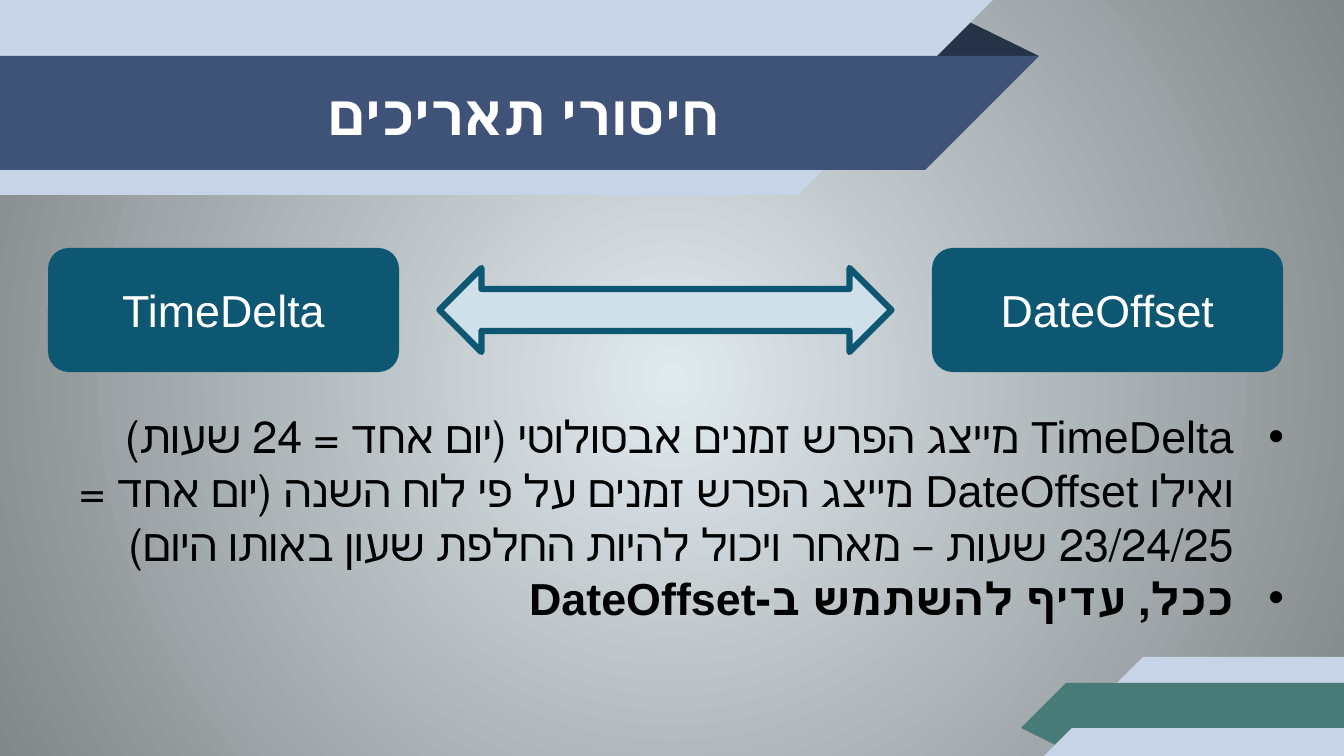
from lxml.etree import SubElement
from pptx import Presentation
from pptx.dml.color import RGBColor
from pptx.enum.shapes import MSO_SHAPE
from pptx.enum.text import MSO_ANCHOR, PP_ALIGN
from pptx.oxml.ns import qn
from pptx.util import Emu, Pt

WIDTH, HEIGHT = 1344, 756
SCALE = 12192000 / WIDTH
FONT = "Arial"
WHITE = RGBColor(0xFF, 0xFF, 0xFF)
BLACK = RGBColor(0, 0, 0)
PALE_BLUE = RGBColor(0xC7, 0xD3, 0xE6)
NAVY = RGBColor(0x3F, 0x53, 0x78)
DARK_NAVY = RGBColor(0x26, 0x32, 0x48)
GREEN = RGBColor(0x48, 0x7B, 0x78)
TEAL = RGBColor(0x0E, 0x57, 0x72)
ICE = RGBColor(0xCF, 0xE0, 0xEA)
GLOW = RGBColor(0xE1, 0xEA, 0xEF)
GREY = RGBColor(0x82, 0x87, 0x89)

TITLE = "חיסורי תאריכים "
POINTS = [
    ("TimeDelta מייצג הפרש זמנים אבסולוטי (יום אחד = 24 שעות) "
     "ואילו DateOffset מייצג הפרש זמנים על פי לוח השנה "
     "(יום אחד = 23/24/25 שעות – מאחר ויכול להיות החלפת שעון באותו היום)", False),
    ("ככל, עדיף להשתמש ב-DateOffset", True),
]


def px(n):
    return Emu(round(n * SCALE))


def add_shape(s, kind, x, y, w, h, color):
    sp = s.shapes.add_shape(kind, px(x), px(y), px(w), px(h))
    sp.shadow.inherit = False
    sp.fill.solid()
    sp.fill.fore_color.rgb = color
    sp.line.fill.background()
    return sp


def add_run(p, text, size, color, bold=False):
    r = p.add_run()
    r.text = text
    r.font.name = FONT
    r.font.size = Pt(size)
    r.font.bold = bold
    r.font.color.rgb = color


def add_text_box(s, x, y, w, h):
    tf = s.shapes.add_textbox(px(x), px(y), px(w), px(h)).text_frame
    tf.word_wrap = True
    return tf


def set_rtl(p, align):
    p.alignment = align
    pPr = p._p.get_or_add_pPr()
    pPr.set("rtl", "1")
    return pPr


def background(s):
    """Radial gradient, bright in the middle."""
    fill = s.background.fill
    fill.gradient()
    for stop, color, position in zip(fill.gradient_stops, (GLOW, GREY), (0, 1)):
        stop.color.rgb = color
        stop.position = position
    grad = s.element.find(".//" + qn("a:gradFill"))
    grad.remove(grad.find(qn("a:lin")))
    circle = SubElement(grad, qn("a:path"), path="circle")
    SubElement(circle, qn("a:fillToRect"), l="50000", t="50000", r="50000", b="50000")


def band(s, x, y, w, h, color, from_left):
    """Band with one slanted end, as wide as it is high."""
    rect_x, tip_x = (x, x + w - h) if from_left else (x + h, x)
    add_shape(s, MSO_SHAPE.RECTANGLE, rect_x, y, w - h, h, color)
    tip = add_shape(s, MSO_SHAPE.RIGHT_TRIANGLE, tip_x, y, h, h, color)
    tip._element.spPr.xfrm.set("flipH", "1")
    if from_left:
        tip.rotation = 180


def fold(s, x, y, w, h, color, rotation=0):
    sp = add_shape(s, MSO_SHAPE.ISOSCELES_TRIANGLE, x, y, w, h, color)
    sp.adjustments[0] = 0.324
    sp.rotation = rotation


def corner_ribbon(s, x, y, w, h):
    fold(s, x, y + 71, 57, 19, GREEN, 180)
    band(s, x + 23, y, w - 23, h, PALE_BLUE, False)
    band(s, x, y + 26, w, 45, GREEN, False)


def title_ribbon(s, x, y, w, h):
    fold(s, x + w - 115, y + 18, 115, 38, DARK_NAVY)
    band(s, x, y, w - 46, h, PALE_BLUE, True)
    band(s, x, y + 56, w, 114, NAVY, True)
    tf = add_text_box(s, x + 49, y + 57, w - 106, 113)
    tf.vertical_anchor = MSO_ANCHOR.MIDDLE
    p = tf.paragraphs[0]
    set_rtl(p, PP_ALIGN.CENTER)
    add_run(p, TITLE, 40, WHITE, True)


def comparison(s, x, y, w, h):
    box_w, arrow_w, arrow_h = 351, 452, 84
    arrow = add_shape(s, MSO_SHAPE.LEFT_RIGHT_ARROW, x + (w - arrow_w) / 2,
                      y + (h - arrow_h) / 2, arrow_w, arrow_h, ICE)
    arrow.line.color.rgb = TEAL
    arrow.line.width = Pt(4.5)
    for label, left in (("DateOffset", x + w - box_w), ("TimeDelta", x)):
        sp = add_shape(s, MSO_SHAPE.ROUNDED_RECTANGLE, left, y, box_w, h, TEAL)
        tf = sp.text_frame
        tf.vertical_anchor = MSO_ANCHOR.MIDDLE
        p = tf.paragraphs[0]
        p.alignment = PP_ALIGN.CENTER
        add_run(p, label, 32, WHITE)


def explanation(s, x, y, w, h):
    tf = add_text_box(s, x, y, w, h)
    for i, (text, bold) in enumerate(POINTS):
        p = tf.add_paragraph() if i else tf.paragraphs[0]
        pPr = set_rtl(p, PP_ALIGN.RIGHT)
        pPr.set("marR", "0")
        pPr.set("marL", "457200")
        pPr.set("indent", "-457200")
        SubElement(pPr, qn("a:buFont")).set("typeface", FONT)
        SubElement(pPr, qn("a:buChar")).set("char", "•")
        add_run(p, text, 32, BLACK, bold)


def main():
    prs = Presentation()
    prs.slide_width, prs.slide_height = px(WIDTH), px(HEIGHT)
    s = prs.slides.add_slide(prs.slide_layouts[6])
    background(s)
    corner_ribbon(s, 1021, 657, 323, 99)
    title_ribbon(s, 0, 0, 1039, 195)
    comparison(s, 48, 248, 1235, 124)
    explanation(s, 68, 404, 1226, 230)
    prs.save("out.pptx")


if __name__ == "__main__":
    main()
